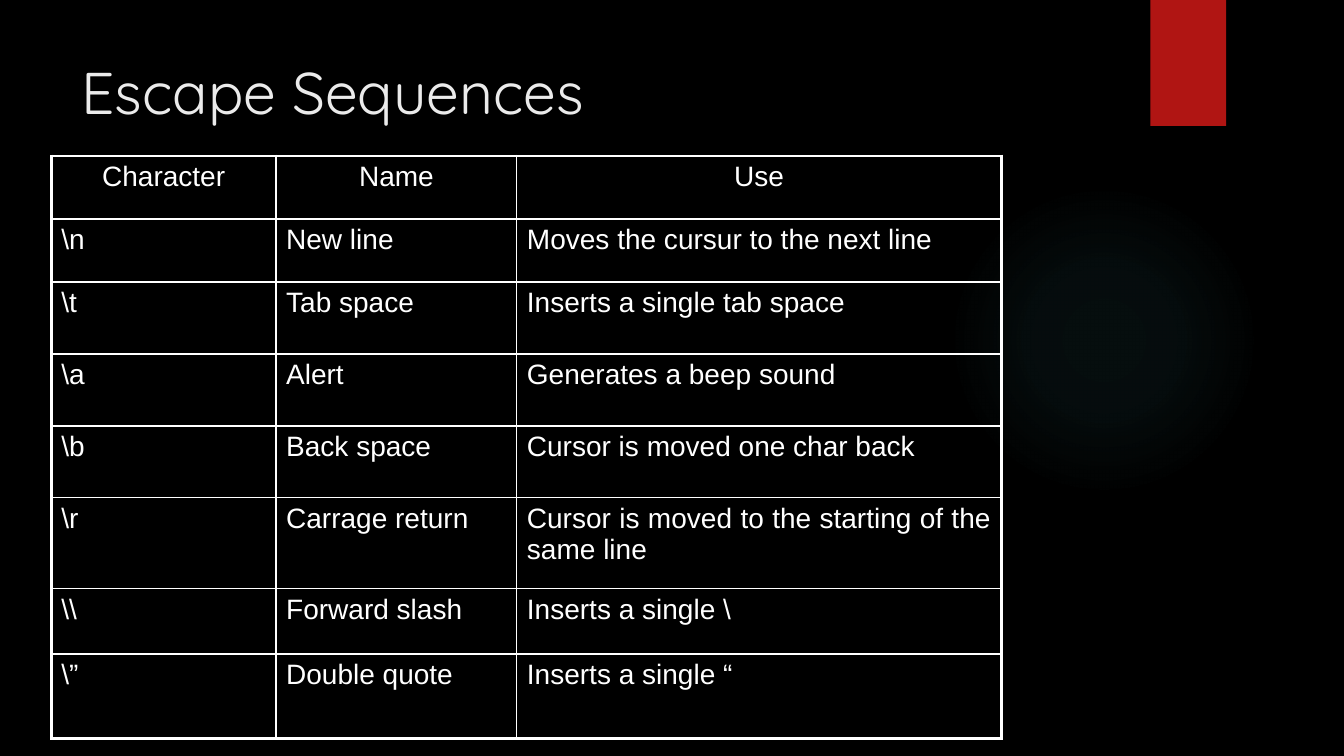
"""Build a slide with a table of escape sequences."""
from lxml import etree
from pptx import Presentation
from pptx.dml.color import RGBColor
from pptx.enum.shapes import MSO_SHAPE
from pptx.enum.text import MSO_ANCHOR, MSO_AUTO_SIZE, PP_ALIGN
from pptx.oxml import parse_xml
from pptx.oxml.ns import qn
from pptx.util import Pt

TITLE = "Escape Sequences"
ROWS = [
    ("Character", "Name", "Use"),
    (r"\n", "New line", "Moves the cursur to the next line"),
    (r"\t", "Tab space", "Inserts a single tab space"),
    (r"\a", "Alert", "Generates a beep sound"),
    (r"\b", "Back space", "Cursor is moved one char back"),
    (r"\r", "Carrage return", "Cursor is moved to the starting of the same line"),
    (r"\\", "Forward slash", "Inserts a single \\"),
    (r"\”", "Double quote", "Inserts a single “"),
]
COLUMN_WIDTHS = (160.5, 172, 346)
ROW_HEIGHTS = (45, 45, 51.4, 51.4, 51.4, 65, 46.5, 60.5)
TABLE_LEFT, TABLE_TOP = 36.7, 111.5
GLOW_STOPS = ((0, 7), (36, 6), (69, 0))
THIN, THICK = 1, 2.25

BLACK = RGBColor(0x00, 0x00, 0x00)
WHITE = RGBColor(0xFF, 0xFF, 0xFF)
PALE = RGBColor(0xEB, 0xEB, 0xEB)
RED = RGBColor(0xB0, 0x15, 0x13)
TEAL = RGBColor(0x50, 0xB9, 0xC1)

OVAL, RECTANGLE = MSO_SHAPE.OVAL, MSO_SHAPE.RECTANGLE
LEFT, CENTER, JUSTIFY = PP_ALIGN.LEFT, PP_ALIGN.CENTER, PP_ALIGN.JUSTIFY
TOP = MSO_ANCHOR.TOP
NO_FIT = MSO_AUTO_SIZE.NONE
DRAWING = "http://schemas.openxmlformats.org/drawingml/2006/main"


def write(frame, text, font, size, color, align):
    """Put one formatted paragraph into a text frame."""
    para = frame.paragraphs[0]
    para.alignment = align
    span = para.add_run()
    span.text = text
    span.font.name = font
    span.font.size = Pt(size)
    span.font.color.rgb = color


def add_plain_shape(page, kind, left, top, width, height):
    """Add a shape without outline or shadow."""
    shape = page.shapes.add_shape(kind, Pt(left), Pt(top), Pt(width), Pt(height))
    shape.shadow.inherit = False
    shape.line.fill.background()
    return shape


def fill_with_glow(shape):
    """Fill a shape with a faint radial gradient."""
    stops = "".join(
        f'<a:gs pos="{place * 1000}"><a:srgbClr val="{TEAL}">'
        f'<a:alpha val="{opacity * 1000}"/></a:srgbClr></a:gs>'
        for place, opacity in GLOW_STOPS
    )
    gradient = parse_xml(
        f'<a:gradFill xmlns:a="{DRAWING}" rotWithShape="1"><a:gsLst>{stops}</a:gsLst>'
        '<a:path path="circle"><a:fillToRect l="50000" t="50000" r="50000" b="50000"/>'
        "</a:path></a:gradFill>"
    )
    shape.fill.background()
    properties = shape.element.spPr
    properties.replace(properties.find(qn("a:noFill")), gradient)


def set_borders(cell, widths):
    """Draw the left, right, top and bottom borders of a cell."""
    properties = cell._tc.get_or_add_tcPr()
    for index, (side, width) in enumerate(zip("LRTB", widths)):
        line = etree.Element(qn(f"a:ln{side}"), w=str(Pt(width)))
        fill = etree.SubElement(line, qn("a:solidFill"))
        etree.SubElement(fill, qn("a:srgbClr"), val=str(WHITE))
        properties.insert(index, line)


def add_sequence_table(page):
    """Add the table with a thick frame and thin inner lines."""
    last_row, last_column = len(ROWS) - 1, len(COLUMN_WIDTHS) - 1
    table = page.shapes.add_table(
        len(ROWS), len(COLUMN_WIDTHS), Pt(TABLE_LEFT), Pt(TABLE_TOP),
        Pt(sum(COLUMN_WIDTHS)), Pt(sum(ROW_HEIGHTS)),
    ).table
    table.first_row = table.horz_banding = False
    for column, width in zip(table.columns, COLUMN_WIDTHS):
        column.width = Pt(width)
    for row_index, (texts, height) in enumerate(zip(ROWS, ROW_HEIGHTS)):
        table.rows[row_index].height = Pt(height)
        for column_index, text in enumerate(texts):
            cell = table.cell(row_index, column_index)
            cell.fill.background()
            write(cell.text_frame, text, font="Arial", size=20, color=WHITE,
                  align=JUSTIFY if row_index else CENTER)
            outer = (column_index == 0, column_index == last_column,
                     row_index == 0, row_index == last_row)
            set_borders(cell, [THICK if edge else THIN for edge in outer])


def main():
    """Build and save the slide."""
    deck = Presentation()
    deck.slide_width, deck.slide_height = Pt(960), Pt(540)
    page = deck.slides.add_slide(deck.slide_layouts[5])
    page.background.fill.solid()
    page.background.fill.fore_color.rgb = BLACK

    fill_with_glow(add_plain_shape(page, OVAL, 677.5, 131.8, 221.8, 221.8))
    ribbon = add_plain_shape(page, RECTANGLE, 821.8, 0, 54, 90)
    ribbon.fill.solid()
    ribbon.fill.fore_color.rgb = RED

    title = page.shapes.title
    title.left, title.top, title.width, title.height = Pt(51), Pt(36), Pt(741), Pt(110)
    title.text_frame.vertical_anchor = TOP
    title.text_frame.auto_size = NO_FIT
    write(title.text_frame, TITLE, font="Quicksand", size=42, color=PALE, align=LEFT)

    add_sequence_table(page)
    deck.save("out.pptx")


if __name__ == "__main__":
    main()
